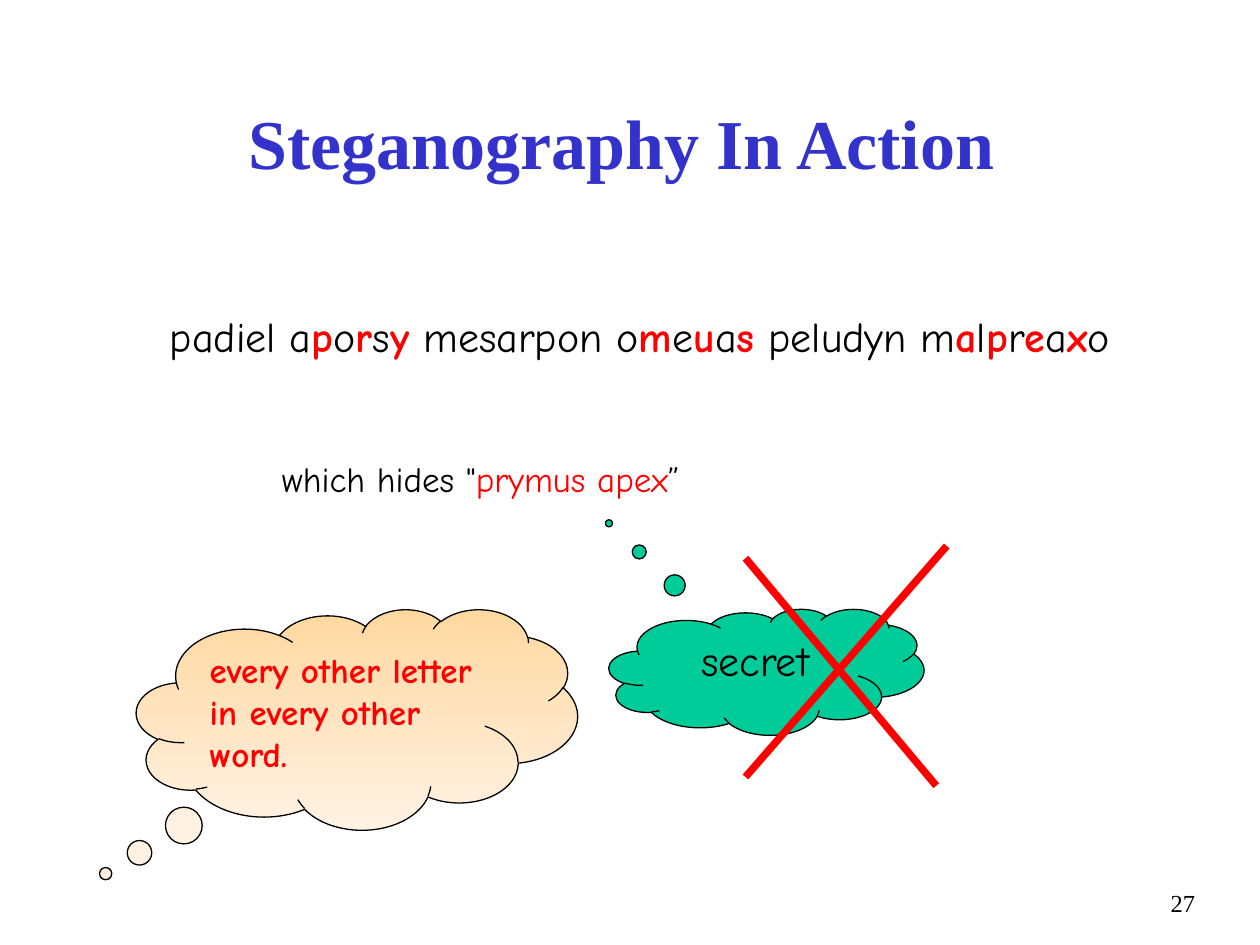
from pptx import Presentation
from pptx.dml.color import RGBColor
from pptx.enum.shapes import MSO_CONNECTOR, MSO_SHAPE
from pptx.enum.text import MSO_ANCHOR, MSO_AUTO_SIZE, PP_ALIGN
from pptx.oxml.ns import qn
from pptx.util import Pt
from lxml import etree

LEFT, CENTER, RIGHT = PP_ALIGN.LEFT, PP_ALIGN.CENTER, PP_ALIGN.RIGHT
TOP, MIDDLE = MSO_ANCHOR.TOP, MSO_ANCHOR.MIDDLE
CLOUD = MSO_SHAPE.CLOUD_CALLOUT
STRAIGHT = MSO_CONNECTOR.STRAIGHT

COLORS = {
    "title": "3333CC",
    "ink": "000000",
    "red": "FF0000",
    "green": "00CC99",
    "peach": "FFD8A0",
    "cream": "FFF2E3",
}
COLORS = {name: RGBColor.from_string(value) for name, value in COLORS.items()}
SCRIPT_FONT, SERIF_FONT = "Comic Neue", "Times New Roman"


def write(box, spans, align=LEFT, anchor=TOP, wrap=True, **common):
    """Fill a box with one paragraph of (text, font format) spans."""
    frame = box.text_frame
    frame.word_wrap = wrap
    frame.vertical_anchor = anchor
    para = frame.paragraphs[0]
    para.alignment = align
    for text, extra in spans:
        span = para.add_run()
        span.text = text
        values = {"name": SCRIPT_FONT, "color": "ink", "bold": False, **common, **extra}
        span.font.color.rgb = COLORS[values.pop("color")]
        for key, value in values.items():
            setattr(span.font, key, value)


def add_cloud(left, top, width, height, tail):
    cloud = page.shapes.add_shape(CLOUD, Pt(left), Pt(top), Pt(width), Pt(height))
    cloud.shadow.inherit = False
    cloud.line.color.rgb = COLORS["ink"]
    cloud.line.width = Pt(0.75)
    for index, offset in enumerate(tail):
        cloud.adjustments[index] = offset
    return cloud


deck = Presentation()
deck.slide_width, deck.slide_height = Pt(720), Pt(540)
page = deck.slides.add_slide(deck.slide_layouts[5])

title = page.shapes.title
title.left, title.top, title.width, title.height = Pt(49), Pt(36), Pt(612), Pt(90)
write(title, [("Steganography In Action", {})], CENTER, MIDDLE,
      name=SERIF_FONT, size=Pt(40), color="title", bold=True)

# Text between asterisks is highlighted
messages = [
    ("padiel a*p*o*r*s*y* mesarpon o*m*e*u*a*s* peludyn m*a*l*p*r*e*a*x*o",
     (90, 174, 583, 36), 24, {"color": "red", "bold": True}),
    ('which hides "*prymus apex*”', (154, 258, 269, 32), 20, {"color": "red"}),
]
for text, place, size, highlight in messages:
    box = page.shapes.add_textbox(*map(Pt, place))
    spans = [(part, highlight if index % 2 else {})
             for index, part in enumerate(text.split("*"))]
    write(box, spans, wrap=False, size=Pt(size))
    box.text_frame.auto_size = MSO_AUTO_SIZE.SHAPE_TO_FIT_TEXT

secret = add_cloud(348, 348, 180, 72, (-0.5, -1.18))
secret.fill.solid()
secret.fill.fore_color.rgb = COLORS["green"]
write(secret, [("secret", {})], CENTER, size=Pt(24))

for start_x, start_y, end_x, end_y in [(426, 444, 541, 312), (426, 319, 535, 449)]:
    stroke = page.shapes.add_connector(STRAIGHT, Pt(start_x), Pt(start_y), Pt(end_x), Pt(end_y))
    stroke.line.color.rgb = COLORS["red"]
    stroke.line.width = Pt(4.25)
    etree.SubElement(stroke.element.spPr, qn("a:effectLst"))

rule = add_cloud(78, 348, 252, 126, (-0.57, 0.7))
rule.fill.gradient()
rule.fill.gradient_angle = 270
for stop, name in zip(rule.fill.gradient_stops, ("peach", "cream")):
    stop.color.rgb = COLORS[name]
write(rule, [("every other letter in every other word.", {})],
      size=Pt(20), color="red", bold=True)

number = page.shapes.add_textbox(Pt(629), Pt(504), Pt(61), Pt(36))
write(number, [("27", {})], RIGHT, name=SERIF_FONT, size=Pt(14))

deck.save("out.pptx")
